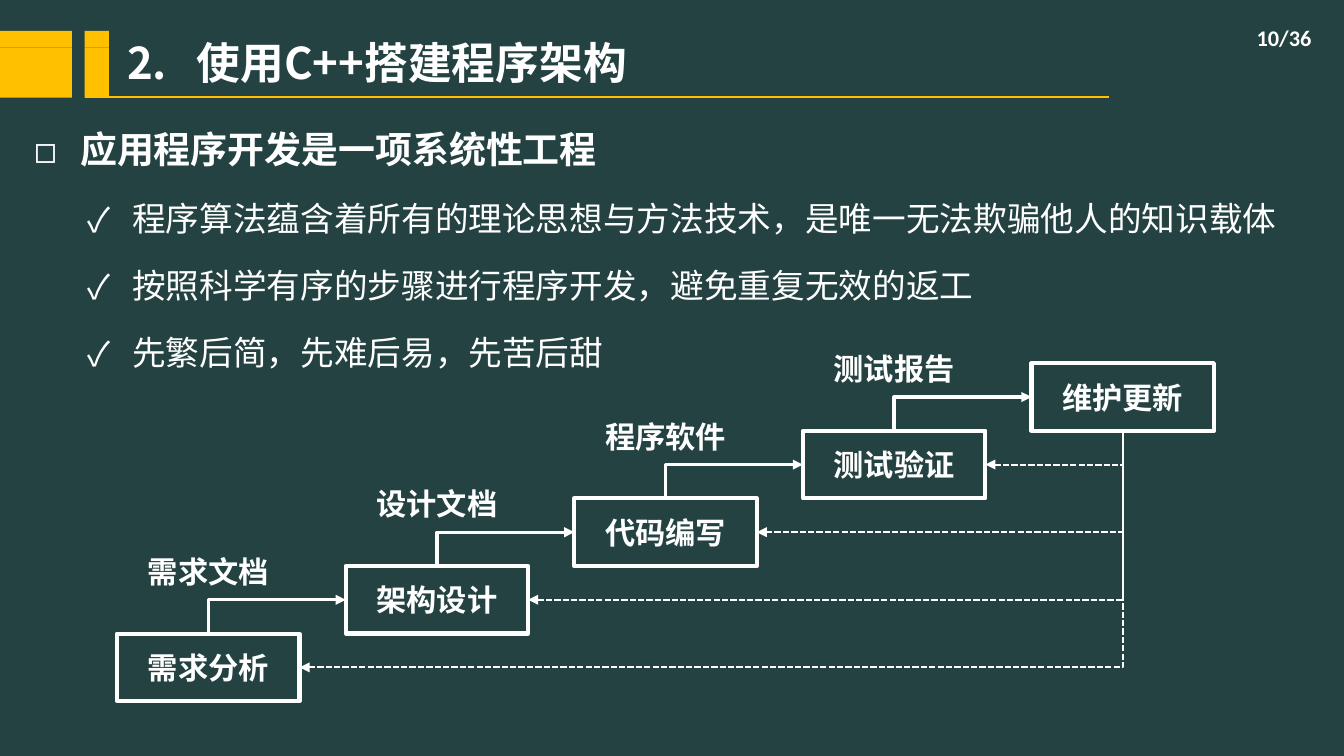
"""Build the slide on program architecture with its staircase of stages."""
from dataclasses import dataclass
from typing import Any

import pptx
import pptx.dml.color
import pptx.enum.dml
import pptx.enum.shapes
import pptx.enum.text
import pptx.oxml
import pptx.oxml.ns
import pptx.util

Cm, Pt = pptx.util.Cm, pptx.util.Pt
ALIGN = pptx.enum.text.PP_ALIGN
ANCHOR = pptx.enum.text.MSO_ANCHOR
SHAPE = pptx.enum.shapes.MSO_SHAPE
CONNECTOR = pptx.enum.shapes.MSO_CONNECTOR
DASH = pptx.enum.dml.MSO_LINE

COLORS = {"background": "244242", "accent": "FFC000", "ink": "FFFFFF"}
CJK = "Noto Sans CJK SC"
TOP, LEFT, BOTTOM, RIGHT = range(4)


@dataclass
class Stage:
    name: str
    output: str = ""


@dataclass
class Item:
    text: str
    level: int
    size: float
    bold: bool
    bullet: str
    margin: float
    indent: float
    before: float


STAGES = [
    Stage("需求分析", "需求文档"),
    Stage("架构设计", "设计文档"),
    Stage("代码编写", "程序软件"),
    Stage("测试验证", "测试报告"),
    Stage("维护更新"),
]
POINTS = [
    "程序算法蕴含着所有的理论思想与方法技术，是唯一无法欺骗他人的知识载体",
    "按照科学有序的步骤进行程序开发，避免重复无效的返工",
    "先繁后简，先难后易，先苦后甜",
]
ITEMS = [Item("应用程序开发是一项系统性工程", 0, 22, True, "◻", 0.97, -0.97, 0)]
ITEMS += [Item(text, 1, 20, False, "✓", 2.06, -0.94, 4) for text in POINTS]


def color(name: str) -> pptx.dml.color.RGBColor:
    """Return a named colour."""
    return pptx.dml.color.RGBColor.from_string(COLORS[name])


def apply(target: Any, values: dict[str, Any]) -> None:
    """Set each attribute of the target from the values."""
    for name, value in values.items():
        setattr(target, name, value)


def add_xml(parent: Any, tag: str, **attributes: str) -> Any:
    """Append a DrawingML element to the parent."""
    child = pptx.oxml.parse_xml(f"<a:{tag} {pptx.oxml.ns.nsdecls('a')}/>")
    for name, value in attributes.items():
        child.set(name, value)
    parent.append(child)
    return child


def write(p: Any, text: str, size: float, bold: bool = True, face: str = CJK) -> None:
    """Add a formatted run to a paragraph."""
    r = p.add_run()
    r.text = text
    apply(r.font, {"size": Pt(size), "bold": bold, "name": face})
    r.font.color.rgb = color("ink")
    add_xml(r._r.get_or_add_rPr(), "ea", typeface=face)


def place(sp: Any, left: float, top: float, width: float, height: float) -> None:
    """Move and size a shape in centimetres."""
    apply(sp, {"left": Cm(left), "top": Cm(top), "width": Cm(width), "height": Cm(height)})


def add_label(s: Any, text: str, box: tuple, size: float, align: Any,
              wrap: bool = False, face: str = CJK) -> None:
    """Add a one-line text box."""
    tf = s.shapes.add_textbox(*map(Cm, box)).text_frame
    apply(tf, {"word_wrap": wrap, "vertical_anchor": ANCHOR.MIDDLE})
    tf.paragraphs[0].alignment = align
    write(tf.paragraphs[0], text, size, face=face)


def add_stage(s: Any, name: str, left: float, top: float, width: float, height: float) -> Any:
    """Add an outlined stage box with its name."""
    sp = s.shapes.add_shape(SHAPE.RECTANGLE, *map(Cm, (left, top, width, height)))
    sp.shadow.inherit = False
    sp.fill.background()
    sp.line.color.rgb = color("ink")
    sp.line.width = Pt(2.5)
    sp.text_frame.vertical_anchor = ANCHOR.MIDDLE
    p = sp.text_frame.paragraphs[0]
    p.alignment = ALIGN.CENTER
    write(p, name, 18)
    return sp


def add_elbow(s: Any, target: Any, target_side: int, source: Any, source_side: int,
              width: float, dash: Any = None) -> None:
    """Join two stages by one bend, with the arrowhead at the target."""
    c = s.shapes.add_connector(CONNECTOR.ELBOW, 0, 0, 0, 0)
    c.begin_connect(target, target_side)
    c.end_connect(source, source_side)
    c._element.spPr.find(pptx.oxml.ns.qn("a:prstGeom")).set("prst", "bentConnector2")
    c.line.color.rgb = color("ink")
    apply(c.line, {"width": Pt(width), "dash_style": dash})
    add_xml(c._element.spPr.find(pptx.oxml.ns.qn("a:ln")), "headEnd", type="triangle")
    add_xml(c._element.spPr, "effectLst")


def add_header(s: Any) -> None:
    """Draw the striped bars, rule, page number and title."""
    for left, width in ((0, 1.51), (1.78, 0.51)):
        for row in range(4):
            box = (left, 0.65 + 0.35 * row, width, 0.35)
            sp = s.shapes.add_shape(SHAPE.RECTANGLE, *map(Cm, box))
            sp.shadow.inherit = False
            sp.fill.solid()
            sp.fill.fore_color.rgb = color("accent")
            sp.line.fill.background()
    c = s.shapes.add_connector(CONNECTOR.STRAIGHT, *map(Cm, (1.78, 2.04, 23.29, 2.04)))
    c.line.color.rgb = color("accent")
    c.line.width = Pt(1.25)
    add_xml(c._element.spPr, "effectLst")
    add_label(s, "10/36", (21.31, 0.38, 6.48, 0.84), 13.3, ALIGN.RIGHT, True, "Calibri")

    title = s.shapes.title
    place(title, 2.67, 0.74, 19.63, 1.14)
    tf = title.text_frame
    apply(tf, {"vertical_anchor": ANCHOR.MIDDLE, "auto_size": pptx.enum.text.MSO_AUTO_SIZE.NONE,
               "margin_left": 0, "margin_right": 0, "margin_top": 0, "margin_bottom": 0})
    p = tf.paragraphs[0]
    p.alignment = ALIGN.LEFT
    tabs = add_xml(p._p.get_or_add_pPr(), "tabLst")
    add_xml(tabs, "tab", pos=str(Cm(1.46)), algn="l")
    write(p, "2.\t使用C++搭建程序架构", 26)


def add_body(s: Any) -> None:
    """Fill the body placeholder with the bulleted list."""
    body = s.placeholders[1]
    place(body, 0.46, 2.06, 27.05, 8.86)
    tf = body.text_frame
    tf.auto_size = pptx.enum.text.MSO_AUTO_SIZE.NONE
    for i, item in enumerate(ITEMS):
        p = tf.add_paragraph() if i else tf.paragraphs[0]
        apply(p, {"level": item.level, "line_spacing": 1.5, "space_before": Pt(item.before)})
        pPr = p._p.get_or_add_pPr()
        pPr.set("marL", str(Cm(item.margin)))
        pPr.set("indent", str(Cm(item.indent)))
        add_xml(pPr, "buFont", typeface=CJK)
        add_xml(pPr, "buChar", char=item.bullet)
        write(p, item.text, item.size, item.bold)


def add_staircase(s: Any) -> None:
    """Draw the rising stages, their outputs and the feedback arrows."""
    width, height, step = 3.83, 1.42, 4.8
    boxes = []
    for i, stage in enumerate(STAGES):
        left, top = 2.46 + step * i, 13.31 - height * i
        boxes.append(add_stage(s, stage.name, left, top, width, height))
        if stage.output:
            add_label(s, stage.output, (left + 0.38, top - 1.82, 3.07, 1.02), 18, ALIGN.CENTER)
    for source, target in zip(boxes, boxes[1:]):
        add_elbow(s, target, LEFT, source, TOP, 2)
    for target in reversed(boxes[:-1]):
        add_elbow(s, target, RIGHT, boxes[-1], BOTTOM, 1.25, DASH.SQUARE_DOT)


def main() -> None:
    """Build and save the presentation."""
    prs = pptx.Presentation()
    apply(prs, {"slide_width": Cm(28.22), "slide_height": Cm(15.88)})
    s = prs.slides.add_slide(prs.slide_layouts[1])
    s.background.fill.solid()
    s.background.fill.fore_color.rgb = color("background")
    add_header(s)
    add_body(s)
    add_staircase(s)
    prs.save("out.pptx")


if __name__ == "__main__":
    main()
